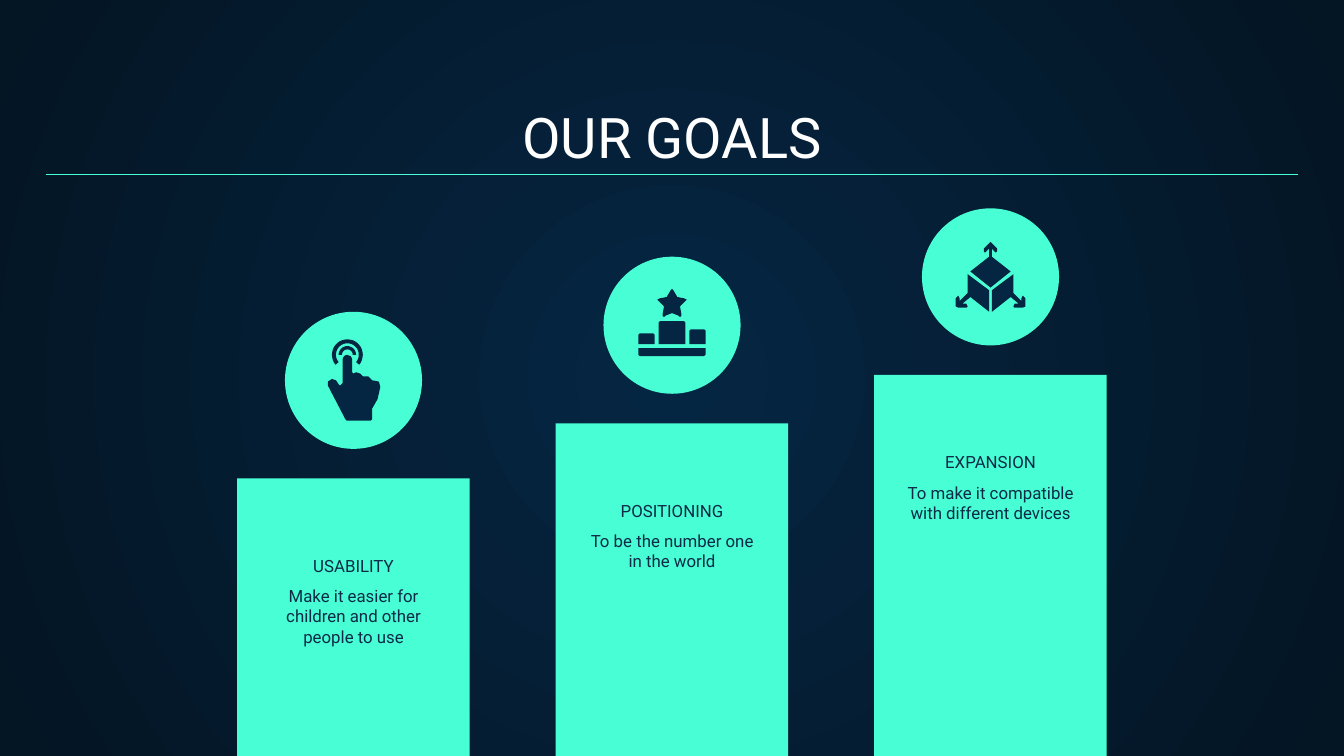
from dataclasses import dataclass
from math import cos, radians, sin

from lxml import etree
from pptx import Presentation
from pptx.dml.color import RGBColor
from pptx.enum.shapes import MSO_CONNECTOR, MSO_SHAPE
from pptx.enum.text import MSO_ANCHOR, PP_ALIGN
from pptx.oxml.ns import qn
from pptx.util import Inches, Pt

RECT, OVAL = MSO_SHAPE.RECTANGLE, MSO_SHAPE.OVAL
STRAIGHT = MSO_CONNECTOR.STRAIGHT
TOP, BOTTOM = MSO_ANCHOR.TOP, MSO_ANCHOR.BOTTOM
CENTER = PP_ALIGN.CENTER

CELL = 0.1  # inches per grid column and row
COLS, ROWS = 100, 56.25


@dataclass(frozen=True)
class Theme:
    font: str = "Roboto"
    title_size: float = 30
    body_size: float = 9
    line_width: float = 0.75
    accent: str = "48FFD5"
    glow: str = "052643"
    edge: str = "041523"
    light: str = "FFFFFF"
    ink: str = "0E2A47"


def grid(cells):
    return Inches(cells * CELL)


def mirror(points):
    return [(-x, y) for x, y in points]


def symmetric(half):
    """Close a right-hand half outline with its reflection in x = 0."""
    return half + mirror(half[::-1])


def ring(cx, cy, outer, inner, start, end):
    """Outline of an open ring; angles in degrees, clockwise from the right."""
    angles = range(start, end + 1, 10)
    sweep = [(outer, a) for a in angles] + [(inner, a) for a in reversed(angles)]
    return [(cx + r * cos(radians(a)), cy + r * sin(radians(a))) for r, a in sweep]


def block(left, top, right, bottom):
    """Rectangle with its two upper corners cut."""
    return [(left, bottom), (left, top + 1), (left + 1, top),
            (right - 1, top), (right, top + 1), (right, bottom)]


# Icon outlines in hundredths of an inch around the centre of their disc
HAND = [(-5, -19), (-7, -18), (-8, -16), (-8, 2), (-10, 4), (-11, 3), (-13, 0),
        (-16, -1), (-19, 1), (-19, 4), (-6, 29), (-5, 30), (13, 30), (14, 29),
        (14, 21), (18, 14), (20, 5), (19, 1), (14, 0), (13, -1), (11, -3),
        (7, -3), (5, -5), (2, -6), (0, -5), (-1, -6), (-1, -16), (-2, -18)]
STAR = symmetric([(0, -27), (1, -26), (4, -21), (9, -20), (11, -19), (10, -18),
                  (6, -14), (7, -8), (7, -7), (6, -6), (5, -7), (0, -9)])
LID = symmetric([(0, -26), (1, -25), (5, -21), (5, -19), (4, -18), (3, -19),
                 (1, -21), (1, -15), (15, -4), (0, 8)])
CUBE_SIDE = [(17, -2), (1, 10), (1, 26), (15, 15), (21, 20), (18, 20), (17, 22),
             (18, 23), (24, 23), (26, 22), (26, 16), (24, 14), (23, 16),
             (23, 18), (17, 12)]

TAP = [ring(-4.5, -19, 11.5, 8.5, 140, 400), ring(-4.5, -19, 6.5, 4, 180, 360), HAND]
PODIUM = [STAR, block(-25, 6, -13, 14), block(-10, -3, 10, 14),
          block(13, 3, 25, 14), [(x, 40 - y) for x, y in block(-25, 17, 25, 23)]]
CUBE = [LID, CUBE_SIDE, mirror(CUBE_SIDE)]

# Heading, description, top row of the bar, icon
GOALS = [
    ("USABILITY", "Make it easier for children and other people to use", 35.6, TAP),
    ("POSITIONING", "To be the number one in the world", 31.5, PODIUM),
    ("EXPANSION", "To make it compatible with different devices", 27.9, CUBE),
]
FIRST_CENTER, STEP = 26.3, 23.7
BAR_WIDTH, DISC = 17.3, 10.2


class Deck:
    def __init__(self, prs, theme):
        self.theme = theme
        self.s = prs.slides.add_slide(prs.slide_layouts[6])

    def background(self):
        fill = self.s.background.fill
        fill.gradient()
        for stop, color in zip(fill.gradient_stops, (self.theme.glow, self.theme.edge)):
            stop.color.rgb = RGBColor.from_string(color)
        for stop, position in zip(fill.gradient_stops, (0, 1)):
            stop.position = position
        lin = next(self.s._element.iter(qn("a:lin")))
        radial = etree.Element(qn("a:path"), path="circle")
        etree.SubElement(radial, qn("a:fillToRect"),
                         {side: "50000" for side in "ltrb"})
        lin.getparent().replace(lin, radial)

    def paint(self, sp, color):
        sp.shadow.inherit = False
        sp.fill.solid()
        sp.fill.fore_color.rgb = RGBColor.from_string(color)
        sp.line.fill.background()

    def shape(self, kind, col, row, width, height):
        sp = self.s.shapes.add_shape(kind, *map(grid, (col, row, width, height)))
        self.paint(sp, self.theme.accent)

    def icon(self, outlines, col, row):
        for points in outlines:
            fine = [(x * 10, y * 10) for x, y in points]
            builder = self.s.shapes.build_freeform(*fine[0], scale=Inches(0.001))
            builder.add_line_segments(fine[1:], close=True)
            self.paint(builder.convert_to_shape(grid(col), grid(row)), self.theme.glow)

    def text(self, words, col, row, width, height, size, color, anchor=TOP):
        sp = self.s.shapes.add_textbox(*map(grid, (col, row, width, height)))
        tf = sp.text_frame
        tf.word_wrap = True
        tf.vertical_anchor = anchor
        tf.margin_left = tf.margin_right = tf.margin_top = tf.margin_bottom = grid(1)
        p = tf.paragraphs[0]
        p.alignment = CENTER
        r = p.add_run()
        r.text = words
        r.font.name = self.theme.font
        r.font.size = Pt(size)
        r.font.color.rgb = RGBColor.from_string(color)

    def rule(self, left, right, row):
        line = self.s.shapes.add_connector(
            STRAIGHT, grid(left), grid(row), grid(right), grid(row))
        line.line.color.rgb = RGBColor.from_string(self.theme.accent)
        line.line.width = Pt(self.theme.line_width)
        etree.SubElement(line._element.spPr, qn("a:effectLst"))

    def goal(self, heading, description, top, icon, center):
        size, ink = self.theme.body_size, self.theme.ink
        disc_top = top - 12.4
        self.shape(RECT, center - BAR_WIDTH / 2, top, BAR_WIDTH, ROWS - top)
        self.text(heading, center - 11.35, top + 5.9, 22.7, 2.1, size, ink, BOTTOM)
        self.text(description, center - 7.6, top + 7, 15.2, 5.5, size, ink)
        self.shape(OVAL, center - DISC / 2, disc_top, DISC, DISC)
        self.icon(icon, center, disc_top + DISC / 2)


def main():
    prs = Presentation()
    prs.slide_width, prs.slide_height = grid(COLS), grid(ROWS)
    theme = Theme()
    deck = Deck(prs, theme)
    deck.background()
    deck.text("OUR GOALS", 3.4, 7, 93.2, 6.6, theme.title_size, theme.light, BOTTOM)
    for i, goal in enumerate(GOALS):
        deck.goal(*goal, center=FIRST_CENTER + i * STEP)
    deck.rule(3.4, 96.6, 13)
    prs.save("out.pptx")


if __name__ == "__main__":
    main()
